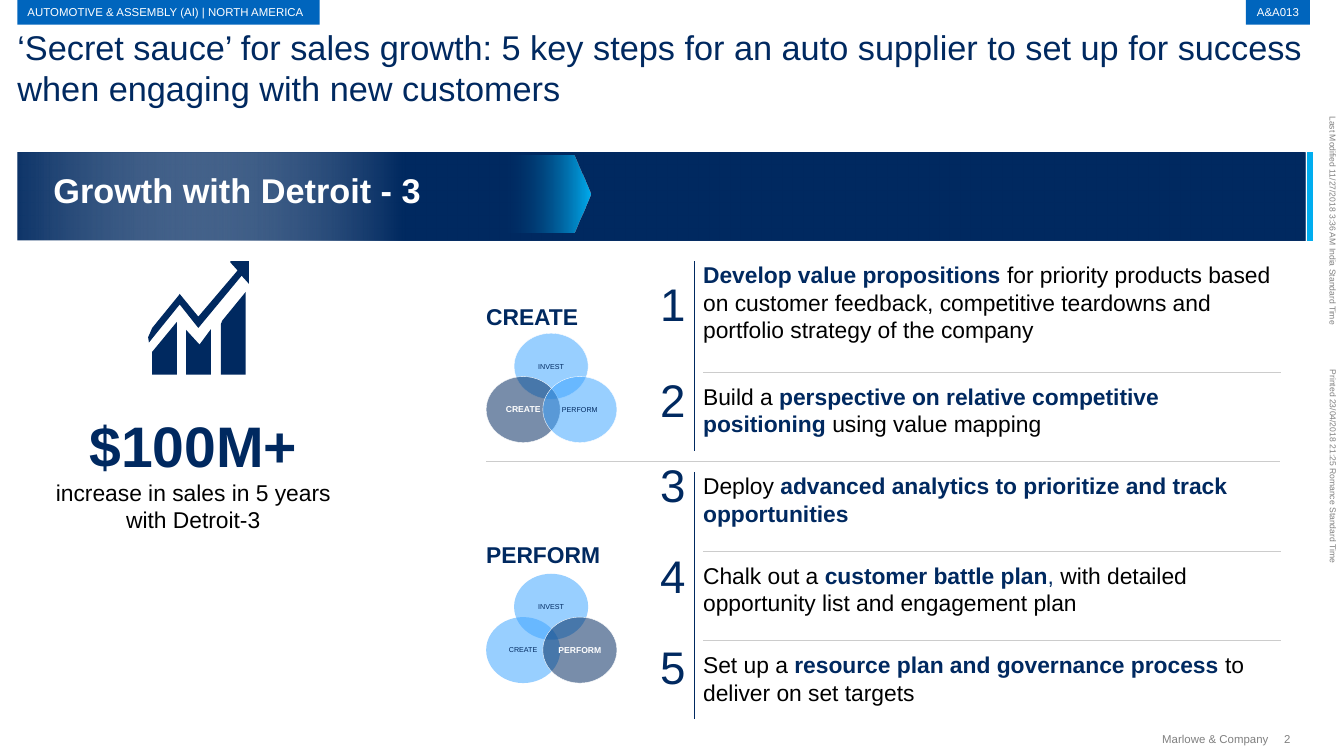
from lxml.etree import SubElement
from pptx import Presentation
from pptx.dml.color import RGBColor
from pptx.enum.dml import MSO_LINE
from pptx.enum.shapes import MSO_CONNECTOR, MSO_SHAPE
from pptx.enum.text import MSO_ANCHOR as ANCHOR, PP_ALIGN as ALIGN
from pptx.oxml.ns import qn
from pptx.util import Cm, Pt

NAVY, BLUE, SKY, CYAN = "002960", "0065BD", "3EA5FF", "00ADEF"
WHITE, BLACK, GREY, RULE = "FFFFFF", "000000", "808080", "CCCCCC"

TITLE = ("‘Secret sauce’ for sales growth: 5 key steps for an auto supplier "
         "to set up for success when engaging with new customers")
TAGS = [
    ("AUTOMOTIVE & ASSEMBLY (AI) | NORTH AMERICA", 0.43, 7.47, ALIGN.LEFT),
    ("A&A013", 30.78, 1.58, ALIGN.CENTER),
]
SIDE_NOTES = [
    ("Last Modified 11/27/2018 3:36 AM India Standard Time", 30.3, 5.38, 5.26),
    ("Printed 23/04/2018 21:25 Romance Standard Time", 30.51, 11.43, 4.85),
]
STEPS = [
    (6.81, [("Develop value propositions ", NAVY, True),
            ("for priority products based on customer feedback, competitive "
             "teardowns and portfolio strategy of the company", BLACK, False)]),
    (9.19, [("Build a ", BLACK, False),
            ("perspective on relative competitive positioning ", NAVY, True),
            ("using value mapping", BLACK, False)]),
    (11.28, [("Deploy ", BLACK, False),
             ("advanced analytics to prioritize and track opportunities", NAVY, True)]),
    (13.54, [("Chalk out a ", BLACK, False), ("customer battle plan", NAVY, True),
             (", ", NAVY, False),
             ("with detailed opportunity list and engagement plan", BLACK, False)]),
    (15.77, [("Set up a ", BLACK, False),
             ("resource plan and governance process ", NAVY, True),
             ("to deliver on set targets", BLACK, False)]),
]
PHASES = [("CREATE", 7.47, 8.23, True), ("PERFORM", 13.36, 14.17, False)]
CIRCLES = [("INVEST", 0.69, 0), ("CREATE", 0, 1.07), ("PERFORM", 1.4, 1.07)]
GROWTH_ICON = [
    [(607, 721), (607, 925), (546, 925), (546, 800), (549, 792)],
    [(490, 810), (444, 752), (368, 846), (366, 833), (376, 810), (442, 729),
     (444, 726), (490, 782), (587, 668), (569, 648), (569, 645), (615, 645),
     (615, 701), (597, 681)],
    [(460, 815), (493, 851), (521, 813), (521, 925), (460, 925)],
    [(437, 925), (376, 925), (376, 869), (437, 795)],
]
EDGE, PHASE_LEFT, NUMBER_LEFT, STEP_LEFT, STEP_WIDTH = 0.43, 12.01, 16.31, 17.37, 14.25
FIRST_TOP, SECOND_TOP, STEP_PITCH, RULE_GAP = 6.45, 9.45, 2.21, 0.27

deck = Presentation()
deck.slide_width, deck.slide_height = Cm(33.2), Cm(18.67)
page = deck.slides.add_slide(deck.slide_layouts[6])


def color(value):
    return RGBColor.from_string(value)


def add_span(para, text, size, tint, bold=False):
    span = para.add_run()
    span.text = text
    span.font.name, span.font.size, span.font.bold = "Arial", Pt(size), bold
    span.font.color.rgb = color(tint)


def set_frame(frame, insets=(0, 0), wrap=True, anchor=ANCHOR.TOP):
    frame.margin_left = frame.margin_right = Cm(insets[0])
    frame.margin_top = frame.margin_bottom = Cm(insets[1])
    frame.word_wrap, frame.vertical_anchor = wrap, anchor


def add_text(left, top, width, height, spans, size, wrap=True, align=ALIGN.LEFT):
    box = page.shapes.add_textbox(Cm(left), Cm(top), Cm(width), Cm(height))
    set_frame(box.text_frame, wrap=wrap)
    para = box.text_frame.paragraphs[0]
    para.alignment = align
    for text, tint, bold in spans:
        add_span(para, text, size, tint, bold)
    return box


def set_alpha(element, percent):
    SubElement(element, qn("a:alpha")).set("val", str(percent * 1000))


def add_block(kind, left, top, width, height, tint=None):
    block = page.shapes.add_shape(kind, Cm(left), Cm(top), Cm(width), Cm(height))
    block.shadow.inherit = False
    block.line.fill.background()
    if tint:
        block.fill.solid()
        block.fill.fore_color.rgb = color(tint)
    return block


def set_gradient(block, stops, alpha):
    block.fill.gradient()
    block.fill.gradient_angle = 0
    for stop, (position, tint) in zip(block.fill.gradient_stops, stops):
        stop.position, stop.color.rgb = position, color(tint)
    set_alpha(next(block.element.spPr.iter(qn("a:srgbClr"))), alpha)


def add_rule(left, top, right, bottom, tint, weight, dotted=False):
    rule = page.shapes.add_connector(MSO_CONNECTOR.STRAIGHT, Cm(left), Cm(top),
                                     Cm(right), Cm(bottom))
    rule.line.color.rgb, rule.line.width = color(tint), Pt(weight)
    if dotted:
        rule.line.dash_style = MSO_LINE.ROUND_DOT
    SubElement(rule.element.spPr, qn("a:effectLst"))


def add_header():
    add_text(EDGE, 0.64, 32.1, 2.1, [(TITLE, NAVY, False)], 24)
    for text, left, width, align in TAGS:
        tag = add_block(MSO_SHAPE.RECTANGLE, left, 0, width, 0.61, BLUE)
        set_frame(tag.text_frame, (0.25, 0.13), False, ANCHOR.MIDDLE)
        tag.text_frame.paragraphs[0].alignment = align
        add_span(tag.text_frame.paragraphs[0], text, 8, WHITE)


def add_banner():
    add_block(MSO_SHAPE.RECTANGLE, EDGE, 3.76, 31.8, 2.18, NAVY)
    glow = add_block(MSO_SHAPE.RECTANGLE, 0.45, 3.76, 31.8, 2.18)
    set_gradient(glow, [(0, WHITE), (0.3, NAVY)], 5)
    add_rule(32.36, 3.76, 32.36, 5.94, CYAN, 4.5)
    arrow = add_block(MSO_SHAPE.PENTAGON, 12.34, 3.84, 2.24, 1.91)
    arrow.adjustments[0] = 0.215
    set_gradient(arrow, [(0, NAVY), (1, CYAN)], 0)
    add_text(1.32, 4.19, 9.09, 1.22, [("Growth with Detroit - 3", WHITE, True)], 24, False)


def add_result():
    for start, *points in GROWTH_ICON:
        builder = page.shapes.build_freeform(*start, scale=Cm(0.01))
        builder.add_line_segments(points)
        part = builder.convert_to_shape()
        part.shadow.inherit = False
        part.fill.solid()
        part.fill.fore_color.rgb = color(NAVY)
        part.line.fill.background()
    box = add_text(0.89, 10.13, 7.77, 3.07, [("$100M+", NAVY, True)], 40, align=ALIGN.CENTER)
    first = box.text_frame.paragraphs[0]
    first.add_line_break()
    add_span(first, "increase in sales in 5 years", 16, BLACK)
    second = box.text_frame.add_paragraph()
    second.alignment = ALIGN.CENTER
    add_span(second, "with Detroit-3", 16, BLACK)


def add_steps():
    for index, (number_top, spans) in enumerate(STEPS):
        top = SECOND_TOP + STEP_PITCH * (index - 1) if index else FIRST_TOP
        add_text(NUMBER_LEFT, number_top, 0.64, 1.37, [(str(index + 1), NAVY, False)], 32, False)
        add_text(STEP_LEFT, top, STEP_WIDTH, 1.37 if index else 2.06, spans, 16)
        if index:
            new_phase = index == 2
            add_rule(PHASE_LEFT if new_phase else STEP_LEFT, top - RULE_GAP,
                     STEP_LEFT + STEP_WIDTH, top - RULE_GAP, RULE, 0.25, not new_phase)
    for top, bottom in [(FIRST_TOP, 11.13), (11.66, 17.75)]:
        add_rule(17.15, top, 17.15, bottom, NAVY, 0.75)


def add_phases():
    for phase, heading_top, top, outlined in PHASES:
        add_text(PHASE_LEFT, heading_top, 2.85, 0.69, [(phase, NAVY, True)], 16, False)
        for name, across, down in CIRCLES:
            active = name == phase
            circle = add_block(MSO_SHAPE.OVAL, PHASE_LEFT + across, top + down, 1.83, 1.63,
                               NAVY if active else SKY)
            set_alpha(next(circle.element.spPr.iter(qn("a:srgbClr"))), 53)
            if active or outlined:
                circle.line.color.rgb, circle.line.width = color(WHITE), Pt(0.25)
            set_frame(circle.text_frame, (0, 0.13), True, ANCHOR.MIDDLE)
            para = circle.text_frame.paragraphs[0]
            para.alignment = ALIGN.CENTER
            add_span(para, name, 6 if active else 5, WHITE if active else NAVY, active)


def add_footer():
    for text, left, top, width in SIDE_NOTES:
        add_text(left, top, width, 0.25, [(text, GREY, False)], 6, False).rotation = 90
    add_text(27.34, 18.08, 4, 0.33, [("Marlowe & Company", GREY, False)], 8, align=ALIGN.RIGHT)
    add_text(31.72, 18.08, 0.36, 0.33, [("2", GREY, False)], 8, False)


def main():
    """Build the slide on five steps for supplier sales growth."""
    add_footer()
    add_header()
    add_banner()
    add_result()
    add_steps()
    add_phases()
    deck.save("out.pptx")


if __name__ == "__main__":
    main()
